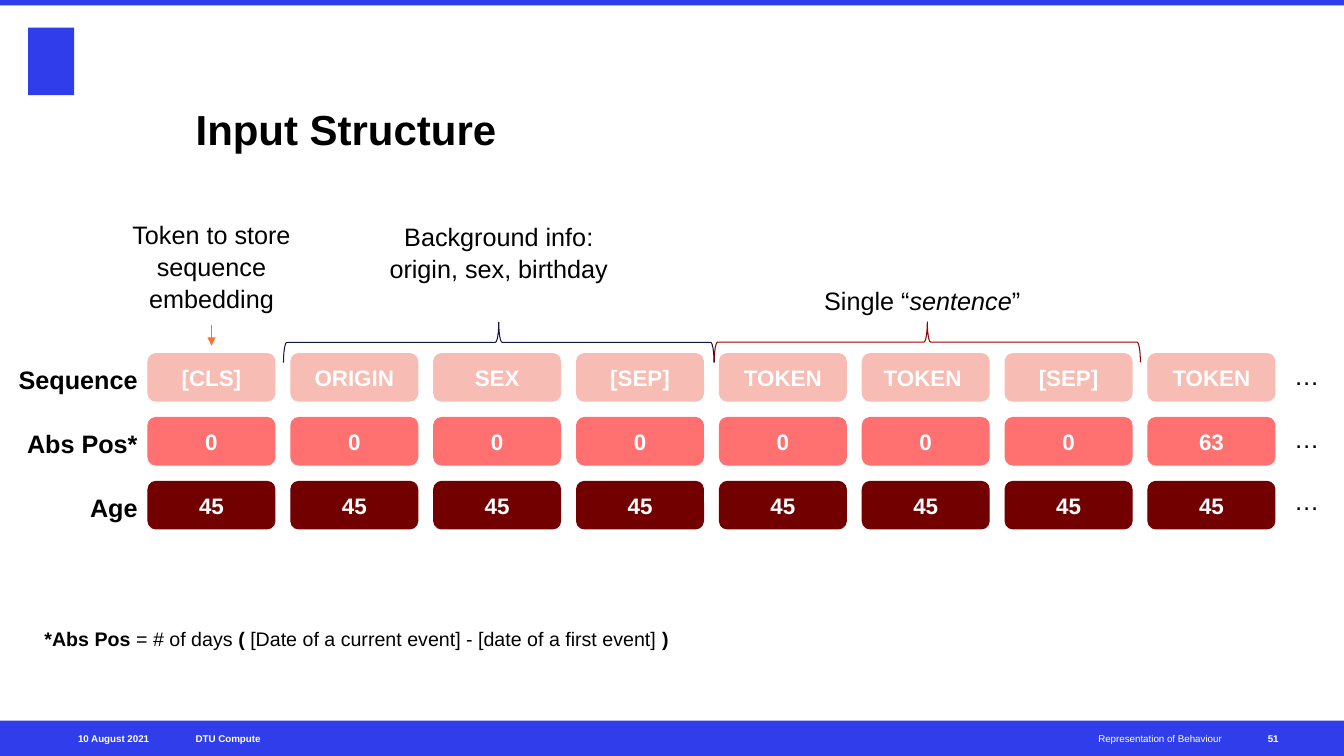
from lxml import etree
from pptx import Presentation
from pptx.dml.color import RGBColor
from pptx.enum import shapes, text
from pptx.oxml import ns
from pptx.util import Cm, Pt

COLORS = {
    "bar": "2F3EEA", "white": "FFFFFF", "black": "000000",
    "sequence": "F7BCB3", "position": "FF7070", "age": "730000",
    "background": "151548", "sentence": "960000", "arrow": "FB722E",
}
LEFT, CENTER, RIGHT = text.PP_ALIGN.LEFT, text.PP_ALIGN.CENTER, text.PP_ALIGN.RIGHT
TOP, MIDDLE, BOTTOM = text.MSO_ANCHOR.TOP, text.MSO_ANCHOR.MIDDLE, text.MSO_ANCHOR.BOTTOM


def write(sp, runs, size=18, color="black", bold=False, align=LEFT, anchor=TOP,
          spacing=1.0, margin=0):
    tf = sp.text_frame
    tf.word_wrap = True
    tf.auto_size = text.MSO_AUTO_SIZE.NONE
    tf.vertical_anchor = anchor
    tf.margin_left = tf.margin_right = Cm(margin)
    tf.margin_top = tf.margin_bottom = Cm(margin / 2)
    p = tf.paragraphs[0]
    p.alignment = align
    p.line_spacing = spacing
    for words, style in [(runs, "")] if isinstance(runs, str) else runs:
        r = p.add_run()
        r.text = words
        r.font.name = "Arial"
        r.font.size = Pt(size)
        r.font.bold = bold or style == "bold"
        r.font.italic = style == "italic"
        r.font.color.rgb = RGBColor.from_string(COLORS[color])


def draw(kind, left, top, width, height, fill=None, line=None):
    sp = s.shapes.add_shape(kind, Cm(left), Cm(top), Cm(width), Cm(height))
    sp.shadow.inherit = False
    if fill:
        sp.fill.solid()
        sp.fill.fore_color.rgb = RGBColor.from_string(COLORS[fill])
    else:
        sp.fill.background()
    if line:
        sp.line.color.rgb = RGBColor.from_string(COLORS[line])
        sp.line.width = Pt(0.75)
    else:
        sp.line.fill.background()
    return sp


prs = Presentation()
prs.slide_width, prs.slide_height = Cm(33.87), Cm(19.05)
s = prs.slides.add_slide(prs.slide_layouts[5])

title = s.shapes.title
title.left, title.top, title.width, title.height = Cm(4.93), Cm(1.19), Cm(25.86), Cm(2.69)
write(title, "Input Structure", size=30, bold=True, anchor=BOTTOM)

RECT = shapes.MSO_SHAPE.RECTANGLE
draw(RECT, 0, 0, 33.87, 0.14, fill="bar")
draw(RECT, 0, 18.16, 33.87, 0.89, fill="bar")
draw(RECT, 0.71, 0.7, 1.16, 1.7, fill="bar")

footers = [
    ("10 August 2021", 0.69, 3.07, True, RIGHT),
    ("DTU Compute", 4.93, 9.45, True, LEFT),
    ("Representation of Behaviour", 15.52, 15.27, False, RIGHT),
    ("51", 31.95, 1.19, True, LEFT),
]
for words, left, width, bold, align in footers:
    sp = s.shapes.add_textbox(Cm(left), Cm(18.16), Cm(width), Cm(0.89))
    write(sp, words, size=7, color="white", bold=bold, align=align, anchor=MIDDLE)

rows = [
    ("Sequence", "sequence",
     ["[CLS]", "ORIGIN", "SEX", "[SEP]", "TOKEN", "TOKEN ", "[SEP]", "TOKEN"]),
    ("Abs Pos*", "position", ["0"] * 7 + ["63"]),
    ("Age", "age", ["45"] * 8),
]
for i, (label, color, tokens) in enumerate(rows):
    top = 8.91 + 1.61 * i
    for j, token in enumerate(tokens):
        sp = draw(shapes.MSO_SHAPE.ROUNDED_RECTANGLE, 3.73 + 3.6 * j, top, 3.2, 1.2,
                  fill=color, line=color)
        write(sp, token, size=16, color="white", bold=True, align=CENTER,
              anchor=MIDDLE, margin=0.25)
    sp = s.shapes.add_textbox(Cm(0), Cm(top + 0.23), Cm(3.47), Cm(1))
    write(sp, label, bold=True, align=RIGHT, spacing=1.05)
    sp = s.shapes.add_textbox(Cm(32.13), Cm(9.04 + 1.58 * i), Cm(1.6), Cm(1))
    write(sp, "…", align=CENTER, spacing=1.05)

for color, left, top, span in [("sentence", 22.86, 3.25, 10.74),
                               ("background", 12.06, 3.2, 10.85)]:
    brace = draw(shapes.MSO_SHAPE.RIGHT_BRACE, left, top, 1.02, span, line=color)
    brace.rotation = 270

notes = [
    ("Token to store sequence embedding", 2.64, 5.5, 5.38, 2),
    ("Background info: origin, sex, birthday", 9.37, 5.54, 6.4, 2.51),
    ([("Single “", ""), ("sentence", "italic"), ("”", "")], 20.04, 7.16, 6.4, 1),
]
for runs, left, top, width, height in notes:
    sp = s.shapes.add_textbox(Cm(left), Cm(top), Cm(width), Cm(height))
    write(sp, runs, align=CENTER, spacing=1.05)

arrow = s.shapes.add_connector(shapes.MSO_CONNECTOR.STRAIGHT,
                               Cm(5.33), Cm(8.2), Cm(5.33), Cm(8.71))
arrow.line.color.rgb = RGBColor.from_string(COLORS["arrow"])
arrow.line.width = Pt(0.75)
etree.SubElement(arrow.line._get_or_add_ln(), ns.qn("a:tailEnd"), type="triangle")
etree.SubElement(arrow._element.spPr, ns.qn("a:effectLst"))

footnote = s.shapes.add_textbox(Cm(1.12), Cm(15.77), Cm(20.19), Cm(1))
write(footnote, [
    ("*Abs Pos ", "bold"),
    ("= # of days ", ""),
    ("(", "bold"),
    (" [Date of a current event] - [date of a first event] ", ""),
    (")", "bold"),
], size=14, spacing=1.05)

prs.save("out.pptx")
